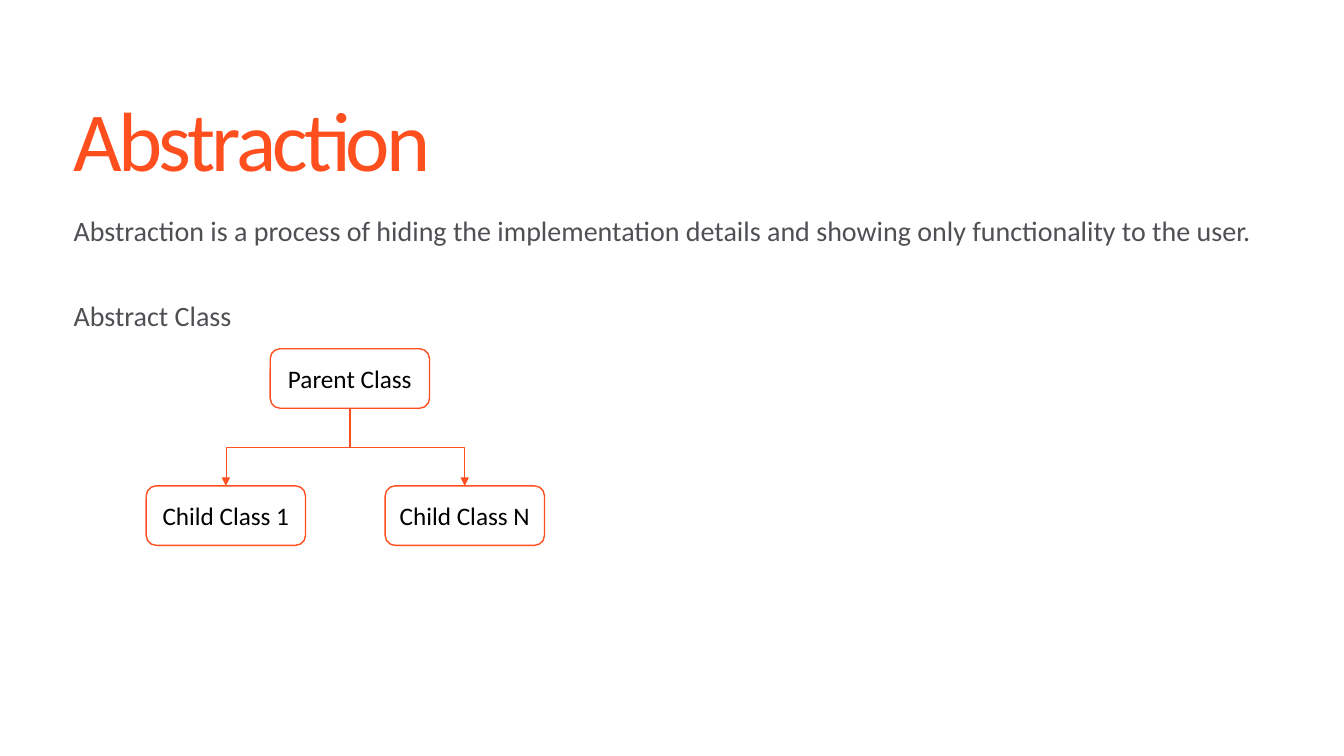
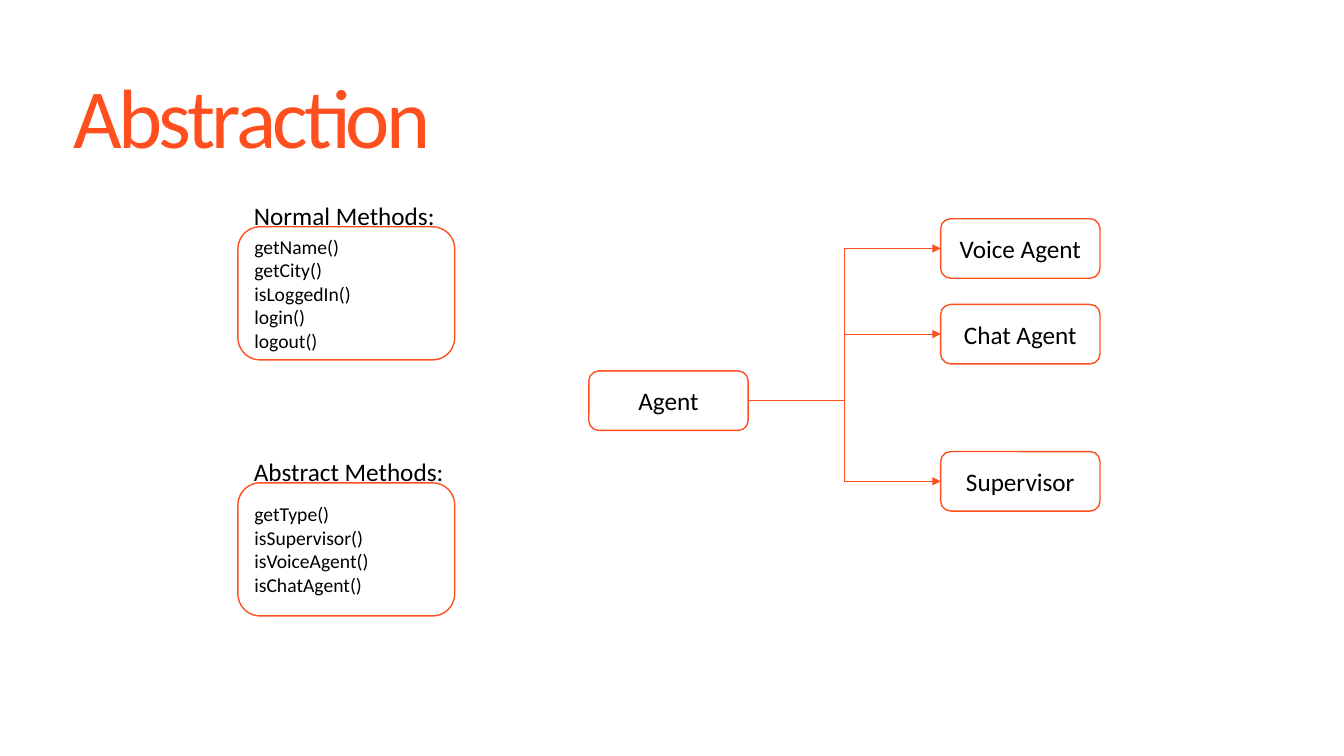
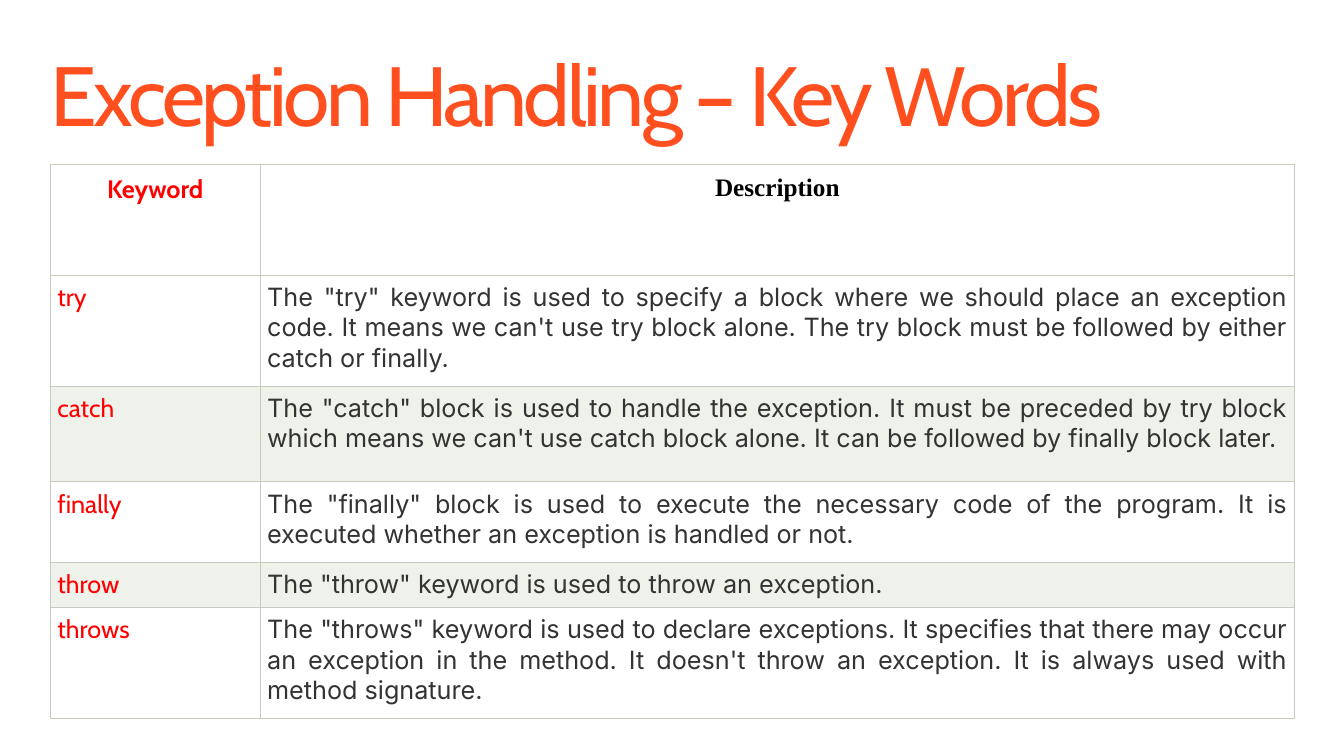
"""Builds three slides on abstraction and exception handling."""
from dataclasses import dataclass

from lxml import etree
from pptx import Presentation
from pptx import util as u
from pptx.dml import color
from pptx.enum import shapes, text
from pptx.oxml import ns


@dataclass(frozen=True)
class Theme:
    accent: str = "FF4F1F"
    body: str = "4E5054"
    ink: str = "000000"
    paper: str = "FFFFFF"
    key: str = "FF0000"
    cell: str = "333333"
    band: str = "EFF1EB"
    rule: str = "C7CCBE"
    sans: str = "Calibri"
    head: str = "Cabin"
    serif: str = "Times New Roman"
    plain: str = "Inter"
    big: int = 60
    lead: int = 20
    label: int = 18
    small: int = 14


T = Theme()
NODE = (1.58, 0.59)
CARD = (2.15, 1.32)
TOP, LEFT, FOOT, RIGHT = range(4)

LEADS = [
    ("Abstraction is a process of hiding the implementation details "
     "and showing only functionality to the user.", (0.73, 1.88, 12.1, 0.96)),
    ("Abstract Class", (0.73, 2.73, 1.95, 0.96)),
]
PARENT = ("Parent Class", 2.68, 3.46)
KIDS = [("Child Class 1", 1.45, 4.82), ("Child Class N", 3.82, 4.82)]

AGENT = ("Agent", 5.84, 3.68)
ROLES = [("Voice Agent", 9.33, 2.17), ("Chat Agent", 9.33, 3.02),
         ("Supervisor", 9.33, 4.48)]
CARDS = [
    ("Normal Methods:", 2.25, 2.02,
     ["getName()", "getCity()", "isLoggedIn()", "login()", "logout()"]),
    ("Abstract Methods:", 4.79, 2.1,
     ["getType()", "isSupervisor()", "isVoiceAgent()", "isChatAgent()"]),
]

COLS = [2.08, 10.26]
ROWS = [1.1, 1.1, 0.95, 0.8, 0.41, 1.1]
WORDS = [
    ("Keyword", "Description"),
    ("try", 'The "try" keyword is used to specify a block where we should '
     "place an exception code. It means we can't use try block alone. "
     "The try block must be followed by either catch or finally."),
    ("catch", 'The "catch" block is used to handle the exception. It must be '
     "preceded by try block which means we can't use catch block alone. "
     "It can be followed by finally block later."),
    ("finally", 'The "finally" block is used to execute the necessary code of '
     "the program. It is executed whether an exception is handled or not."),
    ("throw", 'The "throw" keyword is used to throw an exception.'),
    ("throws", 'The "throws" keyword is used to declare exceptions. It '
     "specifies that there may occur an exception in the method. It doesn't "
     "throw an exception. It is always used with method signature."),
]


def rgb(code):
    return color.RGBColor.from_string(code)


def inch(*sizes):
    return [u.Inches(size) for size in sizes]


def write(para, words, size, face, tint, bold=False):
    run = para.add_run()
    run.text = words
    font = run.font
    font.size, font.name, font.bold = u.Pt(size), face, bold
    font.color.rgb = rgb(tint)
    return run


def place(shape, area):
    shape.left, shape.top, shape.width, shape.height = inch(*area)


def pad(item, *sides):
    (item.margin_left, item.margin_top,
     item.margin_right, item.margin_bottom) = inch(*sides)


def start(deck, kind, words, area, face=T.sans):
    slide = deck.slides.add_slide(deck.slide_layouts[kind])
    title = slide.shapes.title
    place(title, area)
    frame = title.text_frame
    pad(frame, 0, 0, 0, 0)
    frame.word_wrap = True
    frame.auto_size = text.MSO_AUTO_SIZE.NONE
    frame.vertical_anchor = text.MSO_ANCHOR.BOTTOM
    para = frame.paragraphs[0]
    para.alignment, para.line_spacing = text.PP_ALIGN.LEFT, 0.9
    run = write(para, words, T.big, face, T.accent)
    run._r.get_or_add_rPr().set("spc", "-250")
    return slide


def lead(shape, words):
    frame = shape.text_frame
    pad(frame, 0, 0.2, 0, 0)
    frame.word_wrap = True
    frame.auto_size = text.MSO_AUTO_SIZE.NONE
    frame.vertical_anchor = text.MSO_ANCHOR.TOP
    para = frame.paragraphs[0]
    para.alignment, para.line_spacing = text.PP_ALIGN.LEFT, 1.1
    para.space_before = u.Pt(16)
    write(para, words, T.lead, T.sans, T.body)


def box(group, lines, area, size, align):
    shape = group.add_shape(shapes.MSO_SHAPE.ROUNDED_RECTANGLE, *inch(*area))
    shape.shadow.inherit = False
    shape.fill.solid()
    shape.fill.fore_color.rgb = rgb(T.paper)
    shape.line.color.rgb = rgb(T.accent)
    shape.line.width = u.Pt(1)
    frame = shape.text_frame
    frame.vertical_anchor = text.MSO_ANCHOR.MIDDLE
    for spot, words in enumerate(lines):
        para = frame.add_paragraph() if spot else frame.paragraphs[0]
        para.alignment = align
        write(para, words, size, T.sans, T.ink)
    return shape


def node(slide, words, left, top):
    return box(slide.shapes, [words], (left, top, *NODE), T.label,
               text.PP_ALIGN.CENTER)


def link(slide, first, last, out, into):
    line = slide.shapes.add_connector(shapes.MSO_CONNECTOR.ELBOW, 0, 0, 0, 0)
    line.begin_connect(first, out)
    line.end_connect(last, into)
    line.line.color.rgb = rgb(T.accent)
    line.line.width = u.Pt(0.5)
    tail = etree.SubElement(line.line._get_or_add_ln(), ns.qn("a:tailEnd"))
    tail.set("type", "triangle")
    etree.SubElement(line._element.spPr, ns.qn("a:effectLst"))
    return line


def drop(slide, first, last):
    line = link(slide, first, last, FOOT, TOP)
    left = line.end_x < line.begin_x
    wide, high = line.width, line.height
    line.left += (wide - high) // 2
    line.top += (high - wide) // 2
    line.width, line.height = high, wide
    turn = line._element.spPr.find(ns.qn("a:xfrm"))
    turn.set("rot", str((90 if left else 270) * 60000))
    turn.set("flipH", "0" if left else "1")


def card(slide, head, top, wide, lines):
    group = slide.shapes.add_group_shape().shapes
    box(group, lines, (2.36, top, *CARD), T.small, text.PP_ALIGN.LEFT)
    label = group.add_textbox(*inch(2.42, top - 0.31, wide, 0.4))
    frame = label.text_frame
    frame.word_wrap = False
    frame.auto_size = text.MSO_AUTO_SIZE.SHAPE_TO_FIT_TEXT
    write(frame.paragraphs[0], head, T.label, T.sans, T.ink)


def edge(cell):
    props = cell._tc.get_or_add_tcPr()
    for side in "LRTB":
        line = etree.SubElement(props, ns.qn("a:ln" + side))
        line.set("w", str(u.Pt(0.6)))
        fill = etree.SubElement(line, ns.qn("a:solidFill"))
        etree.SubElement(fill, ns.qn("a:srgbClr")).set("val", T.rule)


def fill(cell, words, row, col):
    top = row == 0
    edge(cell)
    cell.fill.solid()
    banded = row > 0 and row % 2 == 0
    cell.fill.fore_color.rgb = rgb(T.band if banded else T.paper)
    pad(cell, *[0.1 if top else 0.07] * 4)
    para = cell.text_frame.paragraphs[0]
    para.alignment = text.PP_ALIGN.CENTER if top else text.PP_ALIGN.JUSTIFY
    if col == 0:
        face, tint = T.head, T.key
    else:
        face, tint = (T.serif, T.ink) if top else (T.plain, T.cell)
    write(para, words, T.label, face, tint, top)


def grid(slide):
    area = inch(0.5, 1.63, sum(COLS), sum(ROWS))
    table = slide.shapes.add_table(len(ROWS), len(COLS), *area).table
    table.first_row = table.horz_banding = False
    for col, wide in zip(table.columns, COLS):
        col.width = u.Inches(wide)
    for row, high in zip(table.rows, ROWS):
        row.height = u.Inches(high)
    for row, pair in enumerate(WORDS):
        for col, words in enumerate(pair):
            fill(table.cell(row, col), words, row, col)


def main():
    deck = Presentation()
    deck.slide_width, deck.slide_height = inch(13.33, 7.5)

    slide = start(deck, 0, "Abstraction", (0.73, 0.56, 10.81, 1.32))
    (words, area), (label, spot) = LEADS
    place(slide.placeholders[1], area)
    lead(slide.placeholders[1], words)
    lead(slide.shapes.add_textbox(*inch(*spot)), label)
    root = node(slide, *PARENT)
    for kid in [node(slide, *item) for item in KIDS]:
        drop(slide, root, kid)

    slide = start(deck, 5, "Abstraction", (0.73, 0.33, 10.81, 1.32))
    root = node(slide, *AGENT)
    for role in [node(slide, *item) for item in ROLES]:
        link(slide, root, role, RIGHT, LEFT)
    for item in CARDS:
        card(slide, *item)

    slide = start(deck, 5, "Exception Handling – Key Words",
                  (0.5, 0.41, 12.33, 1.03), T.head)
    grid(slide)
    deck.save("out.pptx")


main()
